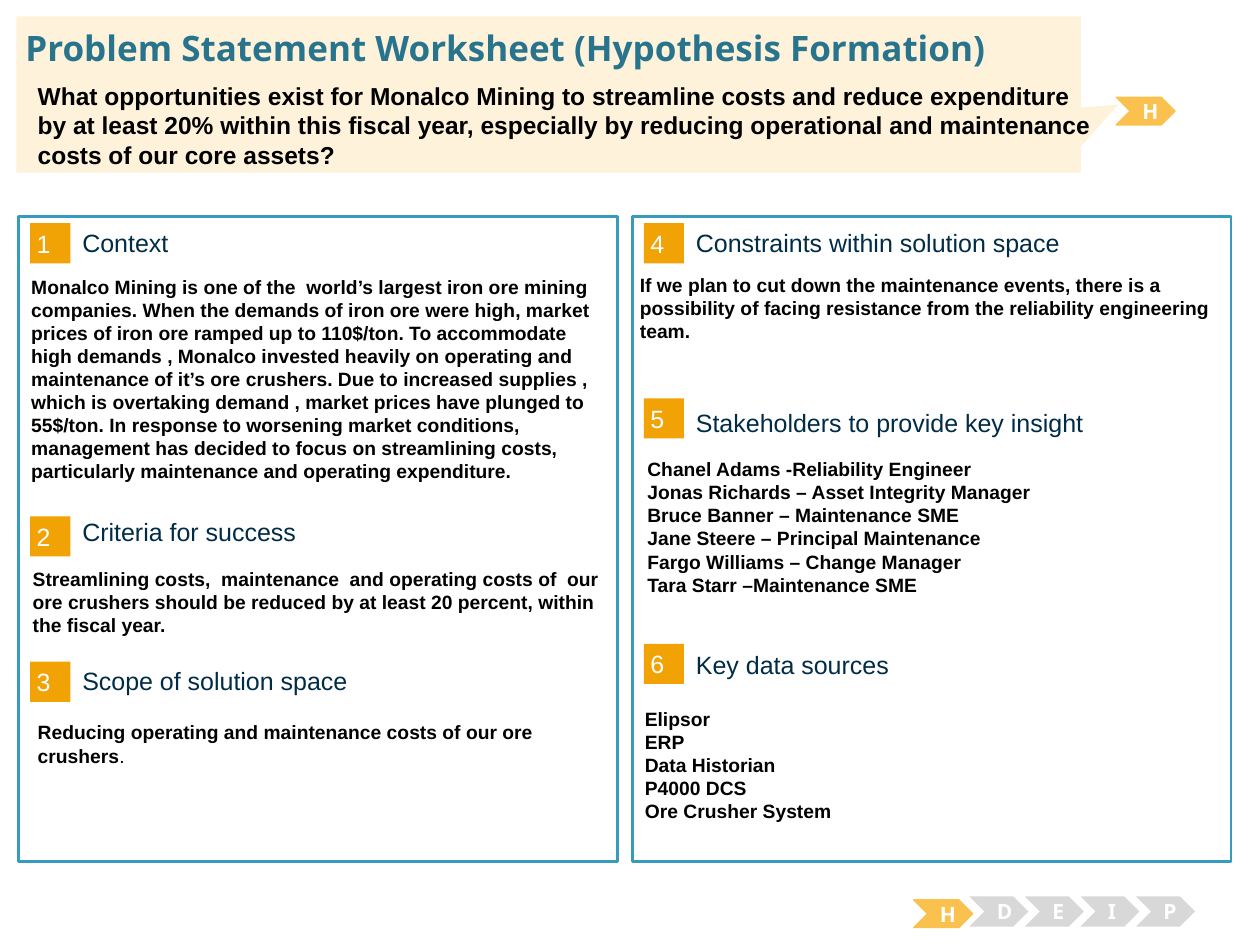
import pptx
import pptx.util
import pptx.dml.color
import pptx.enum.shapes
import pptx.enum.text

Cm, Pt = pptx.util.Cm, pptx.util.Pt
RGB = pptx.dml.color.RGBColor
SHAPE = pptx.enum.shapes.MSO_SHAPE
ANCHOR = pptx.enum.text.MSO_ANCHOR
CENTER = pptx.enum.text.PP_ALIGN.CENTER

WHITE, BLACK = RGB(0xFF, 0xFF, 0xFF), RGB(0, 0, 0)
PANEL_BLUE, TITLE_BLUE, NAVY = RGB(0x37, 0x9B, 0xBD), RGB(0x29, 0x74, 0x8D), RGB(0, 0x2C, 0x46)
ORANGE, AMBER, CREAM = RGB(0xF1, 0xA2, 0x05), RGB(0xFB, 0xC1, 0x4E), RGB(0xFE, 0xF2, 0xDA)
GREY = RGB(0xD8, 0xD8, 0xD8)

# Content
TITLE = "Problem Statement Worksheet (Hypothesis Formation)"
QUESTION = ("What opportunities exist for Monalco Mining to streamline costs and reduce "
            "expenditure by at least 20% within this fiscal year, especially by reducing "
            "operational and maintenance costs of our core assets?")
STAGES = "HDEIP"
# Sections: panel, badge top, heading centre, heading, body (left, top, height), paragraphs
SECTIONS = [
    (0, 4.5, 4.89, "Context", (0.38, 5.41, 4.55), [
        "Monalco Mining is one of the  world’s largest iron ore mining companies. When the "
        "demands of iron ore were high, market prices of iron ore ramped up to 110$/ton. To "
        "accommodate high demands , Monalco invested heavily on operating and maintenance of "
        "it’s ore crushers. Due to increased supplies , which is overtaking demand , market "
        "prices have plunged to 55$/ton. In response to worsening market conditions, ",
        "management has decided to focus on streamlining costs, particularly maintenance and "
        "operating expenditure."]),
    (0, 10.41, 10.71, "Criteria for success", (0.41, 11.3, 2.46), [
        "Streamlining costs,  maintenance  and operating costs of  our ore crushers should be "
        "reduced by at least 20 percent, within the fiscal year."]),
    (0, 13.34, 13.72, "Scope of solution space", (0.51, 14.4, 2.08), [
        ("Reducing operating and maintenance costs of our ore crushers", ".")]),
    (1, 4.5, 4.89, "Constraints within solution space", (12.65, 5.38, 2.29), [
        "If we plan to cut down the maintenance events, there is a possibility of facing "
        "resistance from the reliability engineering team."]),
    (1, 8.03, 8.51, "Stakeholders to provide key insight", (12.8, 9.09, 3.76), [
        "Chanel Adams -Reliability Engineer",
        "Jonas Richards – Asset Integrity Manager",
        "Bruce Banner – Maintenance SME",
        "Jane Steere – Principal Maintenance",
        "Fargo Williams – Change Manager",
        "Tara Starr –Maintenance SME"]),
    (1, 12.98, 13.39, "Key data sources", (12.75, 14.12, 3), [
        "Elipsor", "ERP", "Data Historian", "P4000 DCS", "Ore Crusher System"]),
]

# Layout, in centimetres
PANEL_LEFTS, PANEL_TOP, PANEL_W, PANEL_H = (0.38, 12.75), 4.37, 12.07, 13
BADGE, HEADING_W, HEADING_H, BODY_W = 0.81, 9.98, 0.64, 12.01
CHEVRON_LEFT, CHEVRON_STEP, CHEVRON_W = 18.42, 1.12, 1.19

prs = pptx.Presentation()
prs.slide_width, prs.slide_height = Cm(25.4), Cm(19.05)
s = prs.slides.add_slide(prs.slide_layouts[5])


def write(sp, paragraphs, size, color, bold=False, font="Arial",
          anchor=ANCHOR.TOP, align=None, inset=(0.25, 0.13)):
    """Fill a shape with text; a tuple paragraph has a bold run and a plain run."""
    tf = sp.text_frame
    tf.word_wrap = True
    tf.auto_size = pptx.enum.text.MSO_AUTO_SIZE.NONE
    tf.vertical_anchor = anchor
    tf.margin_left = tf.margin_right = Cm(inset[0])
    tf.margin_top = tf.margin_bottom = Cm(inset[1])
    for i, text in enumerate(paragraphs):
        p = tf.add_paragraph() if i else tf.paragraphs[0]
        p.alignment = align or pptx.enum.text.PP_ALIGN.LEFT
        for j, part in enumerate(text if isinstance(text, tuple) else (text,)):
            r = p.add_run()
            r.text = part
            r.font.name, r.font.size, r.font.bold = font, Pt(size), bold and j == 0
            r.font.color.rgb = color


def add_shape(kind, x, y, w, h, fill, line=None, weight=0.75):
    sp = s.shapes.add_shape(kind, Cm(x), Cm(y), Cm(w), Cm(h))
    sp.shadow.inherit = False
    sp.fill.solid()
    sp.fill.fore_color.rgb = fill
    if line is None:
        sp.line.fill.background()
    else:
        sp.line.color.rgb = line
        sp.line.width = Pt(weight)
    return sp


def add_text(x, y, w, h, *args, **kwargs):
    write(s.shapes.add_textbox(Cm(x), Cm(y), Cm(w), Cm(h)), *args, **kwargs)


def add_stage(letter, x, y, active):
    sp = add_shape(SHAPE.CHEVRON, x, y, CHEVRON_W, 0.56 if active else 0.61,
                   AMBER if active else GREY, AMBER if active else None)
    write(sp, [letter], 12, WHITE, True, "Noto Sans", ANCHOR.MIDDLE, CENTER)


# Panels
for left in PANEL_LEFTS:
    add_shape(SHAPE.RECTANGLE, left, PANEL_TOP, PANEL_W, PANEL_H, WHITE, PANEL_BLUE, 1.5)

# Numbered sections
for number, (panel, top, centre, heading, body, paragraphs) in enumerate(SECTIONS, 1):
    left = PANEL_LEFTS[panel]
    badge = add_shape(SHAPE.RECTANGLE, left + 0.23, top, BADGE, BADGE, ORANGE)
    write(badge, [str(number)], 14.3, WHITE, anchor=ANCHOR.MIDDLE, inset=(0.13, 0.13))
    add_text(left + 1.28, centre - HEADING_H / 2, HEADING_W, HEADING_H,
             [heading], 14.3, NAVY, anchor=ANCHOR.MIDDLE, inset=(0, 0))
    x, y, h = body
    add_text(x, y, BODY_W, h, paragraphs, 11, BLACK, True)

# Stage tracker and the current stage
for i, letter in enumerate(STAGES):
    add_stage(letter, CHEVRON_LEFT + i * CHEVRON_STEP, 18.07 if i else 18.14, i == 0)
add_stage(STAGES[0], 22.5, 1.96, True)

# Header callout, title and question
callout = add_shape(SHAPE.RECTANGULAR_CALLOUT, 0.33, 0.33, 21.46, 3.15, CREAM)
callout.adjustments[0], callout.adjustments[1] = 0.535, 0.066
title = s.shapes.title
title.left, title.top, title.width, title.height = Cm(0.51), Cm(0.53), Cm(24.43), Cm(0.86)
write(title, [TITLE], 20, TITLE_BLUE, True, "Noto Sans", inset=(0, 0))
callout._element.addnext(title._element)
add_text(0.51, 1.5, 22, 1.98, [QUESTION], 14, BLACK, True)

prs.save("out.pptx")
